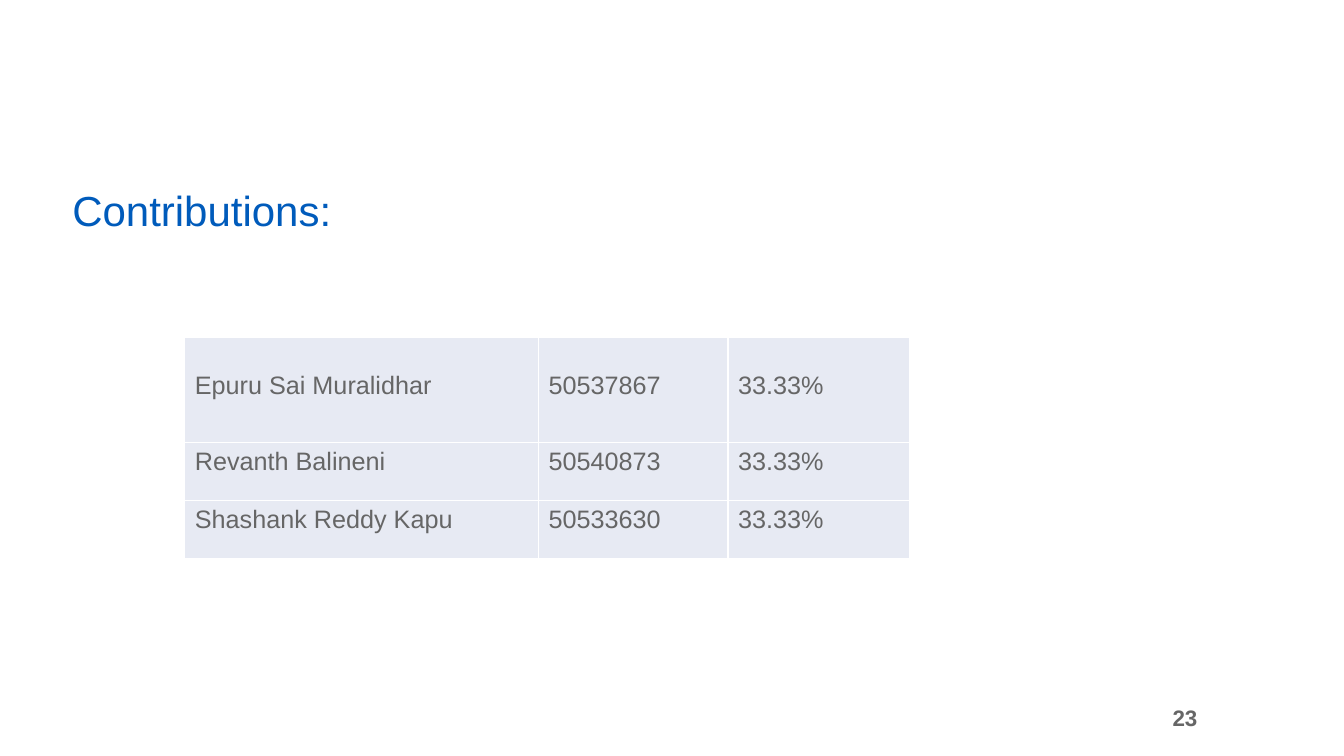
from dataclasses import dataclass

from lxml.etree import SubElement
from pptx import Presentation
from pptx.dml.color import RGBColor
from pptx.enum.text import MSO_ANCHOR, PP_ALIGN
from pptx.oxml.ns import qn
from pptx.slide import Slide
from pptx.table import _Cell
from pptx.text.text import _Paragraph
from pptx.util import Pt

BLUE = RGBColor(0x00, 0x5B, 0xBB)
GRAY = RGBColor(0x66, 0x66, 0x66)
PALE = RGBColor(0xE7, 0xEA, 0xF3)
WHITE = RGBColor(0xFF, 0xFF, 0xFF)

COLUMN_WIDTHS = (252.7, 135.4, 129.6)
ROW_HEIGHTS = (74.9, 41.5, 41.5)
CELL_MARGIN = 3.6
FIRST_ROW_MARGIN = 24.3


@dataclass(frozen=True)
class Label:
    text: str
    box: tuple[float, float, float, float]
    size: float
    color: RGBColor
    bold: bool
    frame_format: dict
    paragraph_format: dict


@dataclass(frozen=True)
class Contribution:
    name: str
    number: str
    share: str


LABELS = (
    Label(
        "23", (807.8, 491.8, 56.9, 41.8), 16, GRAY, True,
        {
            "vertical_anchor": MSO_ANCHOR.MIDDLE,
            "margin_left": Pt(9.4),
            "margin_right": Pt(9.4),
            "margin_top": Pt(5),
            "margin_bottom": Pt(5),
        },
        {"alignment": PP_ALIGN.RIGHT},
    ),
    Label(
        "Contributions:", (44.6, 103.7, 828, 68.4), 30, BLUE, False,
        {"vertical_anchor": MSO_ANCHOR.BOTTOM},
        {"line_spacing": 0.9},
    ),
)

CONTRIBUTIONS = (
    Contribution("Epuru Sai Muralidhar", "50537867", "33.33%"),
    Contribution("Revanth Balineni", "50540873", "33.33%"),
    Contribution("Shashank Reddy Kapu", "50533630", "33.33%"),
)


def apply_format(target: object, values: dict) -> None:
    for name, value in values.items():
        setattr(target, name, value)


def write_text(
    paragraph: _Paragraph, text: str, size: float, color: RGBColor, bold: bool
) -> None:
    run = paragraph.add_run()
    run.text = text
    apply_format(run.font, {"name": "Arial", "size": Pt(size), "bold": bold})
    run.font.color.rgb = color


def add_label(slide: Slide, label: Label) -> None:
    shape = slide.shapes.add_textbox(*map(Pt, label.box))
    frame = shape.text_frame
    apply_format(frame, {"word_wrap": True, **label.frame_format})
    paragraph = frame.paragraphs[0]
    apply_format(paragraph, label.paragraph_format)
    write_text(paragraph, label.text, label.size, label.color, label.bold)


def add_borders(cell: _Cell) -> None:
    properties = cell._tc.get_or_add_tcPr()
    for side in ("lnL", "lnR", "lnT", "lnB"):
        line = SubElement(properties, qn(f"a:{side}"), w=str(Pt(1)))
        fill = SubElement(line, qn("a:solidFill"))
        SubElement(fill, qn("a:srgbClr"), val=str(WHITE))


def add_contributions(slide: Slide) -> None:
    table = slide.shapes.add_table(
        len(ROW_HEIGHTS), len(COLUMN_WIDTHS), Pt(132), Pt(241.2),
        Pt(sum(COLUMN_WIDTHS)), Pt(sum(ROW_HEIGHTS)),
    ).table
    apply_format(table, {"first_row": False, "horz_banding": False})
    for column, width in zip(table.columns, COLUMN_WIDTHS):
        column.width = Pt(width)
    for index, contribution in enumerate(CONTRIBUTIONS):
        row = table.rows[index]
        row.height = Pt(ROW_HEIGHTS[index])
        margin = CELL_MARGIN if index else FIRST_ROW_MARGIN
        texts = (contribution.name, contribution.number, contribution.share)
        for cell, text in zip(row.cells, texts):
            add_borders(cell)
            cell.fill.solid()
            cell.fill.fore_color.rgb = PALE
            cell.margin_top = Pt(margin)
            write_text(cell.text_frame.paragraphs[0], text, 18, GRAY, False)


def main() -> None:
    presentation = Presentation()
    apply_format(
        presentation, {"slide_width": Pt(960), "slide_height": Pt(540)}
    )
    slide = presentation.slides.add_slide(presentation.slide_layouts[6])
    for label in LABELS:
        add_label(slide, label)
    add_contributions(slide)
    presentation.save("out.pptx")


if __name__ == "__main__":
    main()
